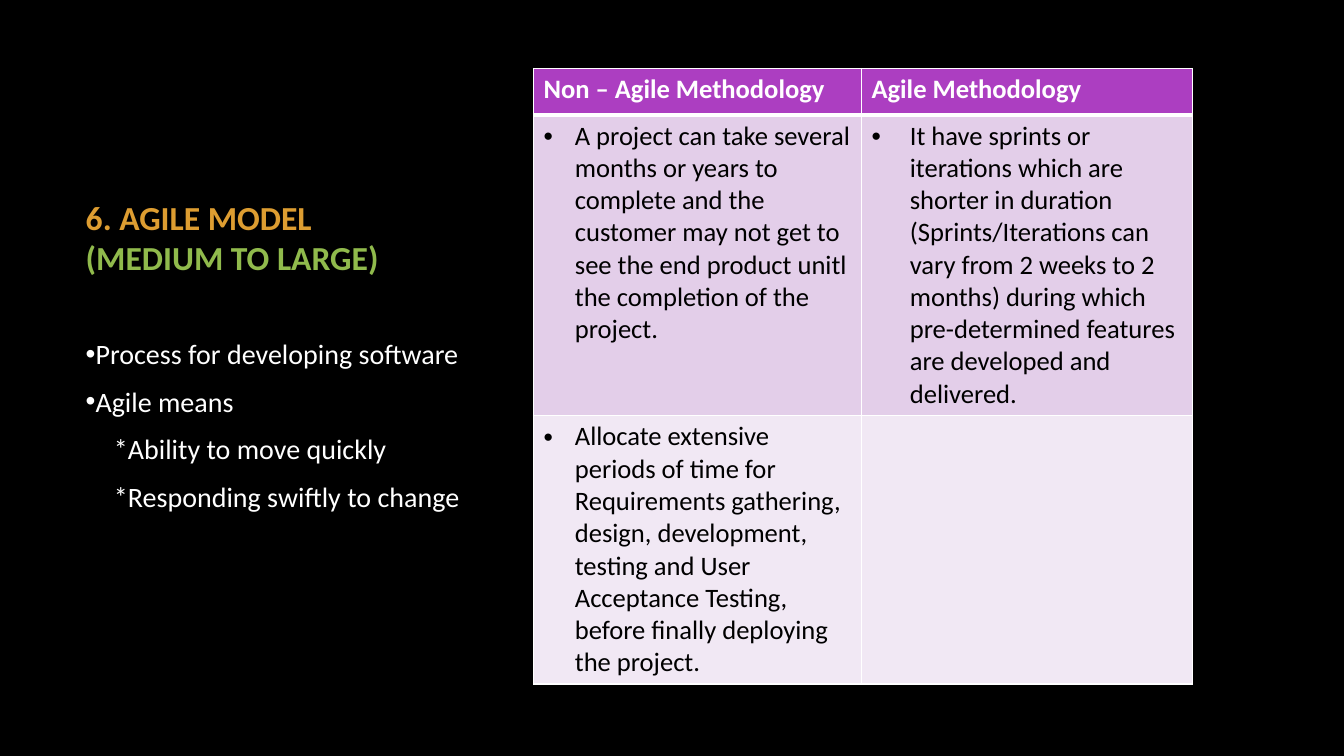
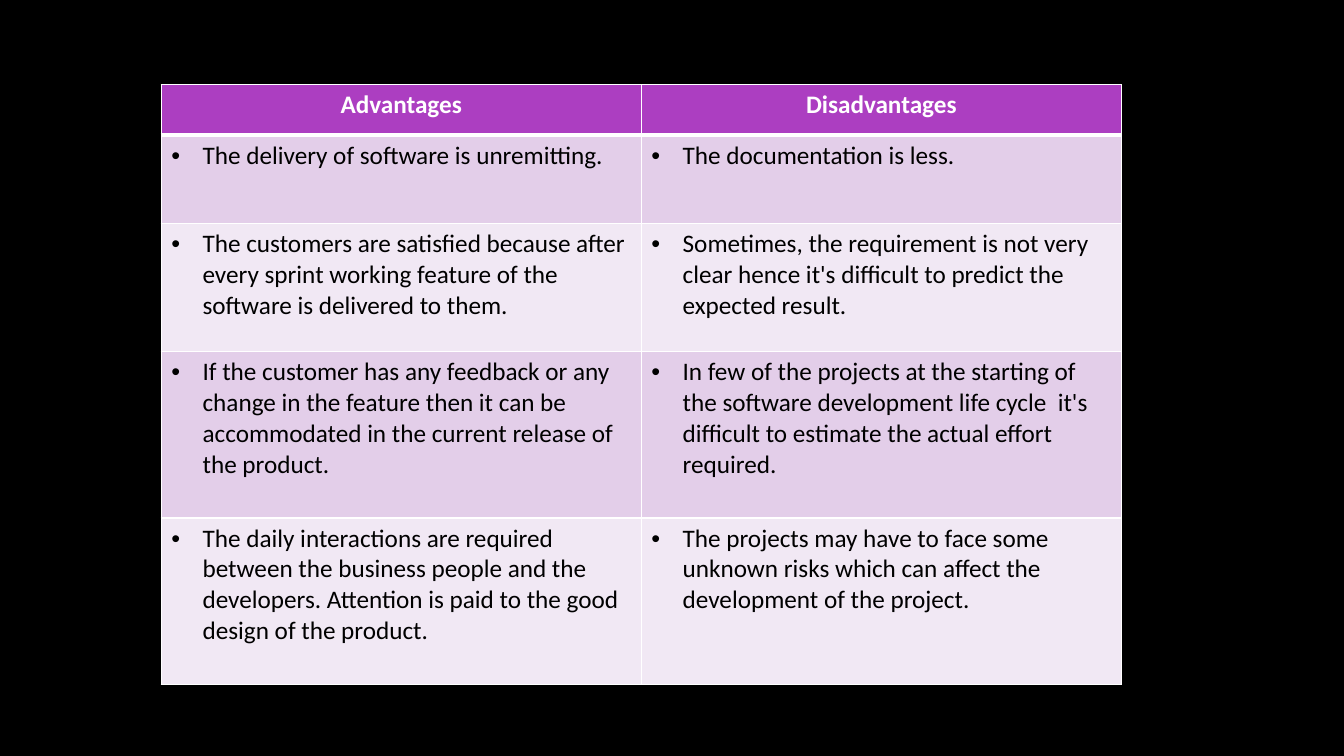
from pptx import Presentation, util as u
from pptx.dml.color import RGBColor
from pptx.enum import text
from pptx.oxml import parse_xml
from pptx.oxml.ns import nsdecls

HUE = {
    "back": "000000", "ink": "000000", "light": "FFFFFF",
    "gold": "DD9D31", "green": "90BA4C",
    "head": "AC3EC1", "odd": "E3CEE9", "even": "F1E8F4",
}
FONT = "Calibri"
WIDE, HIGH = u.Inches(13.33), u.Inches(7.5)
LEFT, MID = text.PP_ALIGN.LEFT, text.PP_ALIGN.CENTER


def across(pct):
    return round(WIDE * pct / 100)


def down(pct):
    return round(HIGH * pct / 100)


def place(shape, x, y, w, h):
    shape.left, shape.top = across(x), down(y)
    shape.width, shape.height = across(w), down(h)


def add_run(para, words, size, hue, bold=False):
    run = para.add_run()
    run.text = words
    font = run.font
    font.name, font.size, font.bold = FONT, u.Pt(size), bold
    font.color.rgb = RGBColor.from_string(HUE[hue])


def hang(para, margin, first, mark=None):
    """Set the left margin and first-line indent in inches, and the bullet."""
    props = para._p.get_or_add_pPr()
    props.set("marL", str(u.Inches(margin)))
    props.set("indent", str(u.Inches(first)))
    if mark:
        props.append(parse_xml(f'<a:buFont {nsdecls("a")} typeface="Arial"/>'))
        props.append(parse_xml(f'<a:buChar {nsdecls("a")} char="{mark}"/>'))
    else:
        props.append(parse_xml(f'<a:buNone {nsdecls("a")}/>'))


def edge(cell, **sides):
    """Draw white cell borders; widths in points by side L, R, T, B."""
    props = cell._tc.get_or_add_tcPr()
    for side, width in sides.items():
        props.append(parse_xml(
            f'<a:ln{side} {nsdecls("a")} w="{u.Pt(width)}"><a:solidFill>'
            f'<a:srgbClr val="{HUE["light"]}"/></a:solidFill></a:ln{side}>'))


def add_slide(deck, layout):
    slide = deck.slides.add_slide(deck.slide_layouts[layout])
    fill = slide.background.fill
    fill.solid()
    fill.fore_color.rgb = RGBColor.from_string(HUE["back"])
    return slide


def set_title(slide, lines, box):
    title = slide.shapes.title
    place(title, *box)
    frame = title.text_frame
    frame.auto_size = text.MSO_AUTO_SIZE.NONE
    frame.vertical_anchor = text.MSO_ANCHOR.BOTTOM
    para = frame.paragraphs[0]
    para.alignment = LEFT
    for num, (words, hue) in enumerate(lines):
        if num:
            para.add_line_break()
        add_run(para, words, 24, hue, True)


def set_list(slide, items, box):
    body = slide.placeholders[1]
    place(body, *box)
    frame = body.text_frame
    frame.auto_size = text.MSO_AUTO_SIZE.NONE
    for num, (words, margin, mark) in enumerate(items):
        para = frame.add_paragraph() if num else frame.paragraphs[0]
        para.space_before, para.space_after = u.Pt(0), u.Pt(10)
        hang(para, margin, 0, mark)
        add_run(para, words, 20, "light")


def add_grid(slide, spot, cols, rows, cells, size, align, hangs):
    """Add a table with a header row; hangs gives each column's indent."""
    x, y = spot
    grid = slide.shapes.add_table(
        len(rows), len(cols), across(x), down(y),
        across(sum(cols)), down(sum(rows))).table
    for col, width in zip(grid.columns, cols):
        col.width = across(width)
    for row, height in zip(grid.rows, rows):
        row.height = down(height)
    for r, line in enumerate(cells):
        for c, words in enumerate(line):
            cell = grid.cell(r, c)
            edge(cell, L=1, R=1, T=3 if r == 1 else 1, B=1 if r else 3)
            cell.fill.solid()
            band = "head" if r == 0 else "odd" if r % 2 else "even"
            cell.fill.fore_color.rgb = RGBColor.from_string(HUE[band])
            if not words:
                continue
            para = cell.text_frame.paragraphs[0]
            if r == 0:
                para.alignment = align
                add_run(para, words, size, "light", True)
            else:
                hang(para, hangs[c], -hangs[c], "•")
                add_run(para, words, size, "ink")


def add_model(deck):
    slide = add_slide(deck, 1)
    set_title(slide, [("6. AGILE MODEL", "gold"),
                      ("(MEDIUM TO LARGE)", "green")],
              (5.63, 14.8, 30.9, 22.53))
    set_list(slide, [("Process for developing software", 0, "•"),
                     ("Agile means", 0, "•"),
                     ("*Ability to move quickly", 0.28, None),
                     ("*Responding swiftly to change", 0.28, None)],
             (5.63, 43.87, 30.9, 40.53))
    cells = [
        ("Non – Agile Methodology", "Agile Methodology"),
        ("A project can take several months or years to complete and the "
         "customer may not get to see the end product unitl the completion "
         "of the project.",
         "It have sprints or iterations which are shorter in duration "
         "(Sprints/Iterations can vary from 2 weeks to 2 months) during "
         "which pre-determined features are developed and delivered."),
        ("Allocate extensive periods of time for Requirements gathering, "
         "design, development, testing and User Acceptance Testing, before "
         "finally deploying the project.", ""),
    ]
    add_grid(slide, (39.7, 9.07), (24.4, 24.6), (6.13, 39.8, 35.5),
             cells, 19, LEFT, (0.31, 0.38))


def add_views(deck):
    slide = add_slide(deck, 6)
    cells = [
        ("Advantages", "Disadvantages"),
        ("The delivery of software is unremitting.",
         "The documentation is less."),
        ("The customers are satisfied because after every sprint working "
         "feature of the software is delivered to them.",
         "Sometimes, the requirement is not very clear hence it's difficult "
         "to predict the expected result."),
        ("If the customer has any feedback or any change in the feature then "
         "it can be accommodated in the current release of the product.",
         "In few of the projects at the starting of the software development "
         "life cycle  it's difficult to estimate the actual effort required."),
        ("The daily interactions are required between the business people "
         "and the developers. Attention is paid to the good design of the "
         "product.",
         "The projects may have to face some unknown risks which can affect "
         "the development of the project."),
    ]
    add_grid(slide, (12, 11.2), (35.72, 35.72), (6.67, 11.73, 16.93, 22, 22),
             cells, 18, MID, (0.31, 0.31))


def main():
    deck = Presentation()
    deck.slide_width, deck.slide_height = WIDE, HIGH
    add_model(deck)
    add_views(deck)
    # The second slide holds only a table, so its title is dropped.
    title = deck.slides[1].shapes.title
    if title is not None:
        title.element.getparent().remove(title.element)
    deck.save("out.pptx")


if __name__ == "__main__":
    main()
